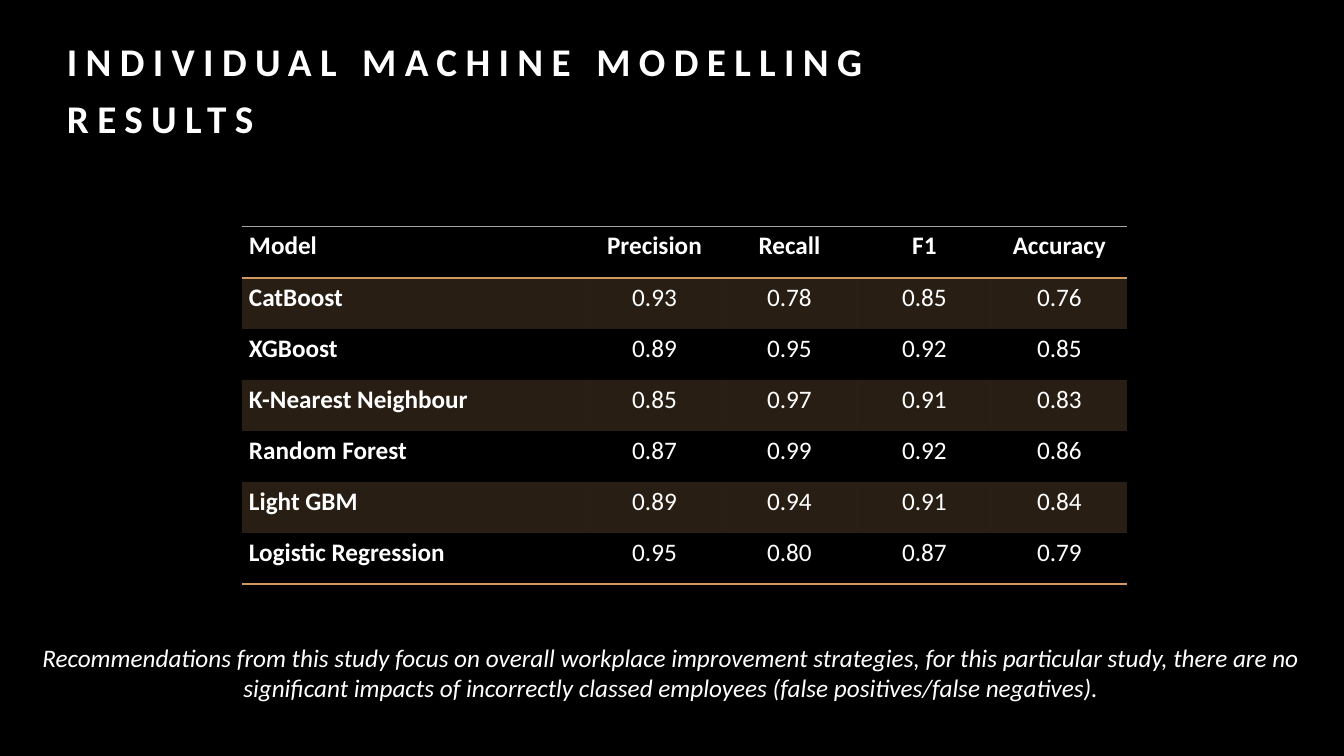
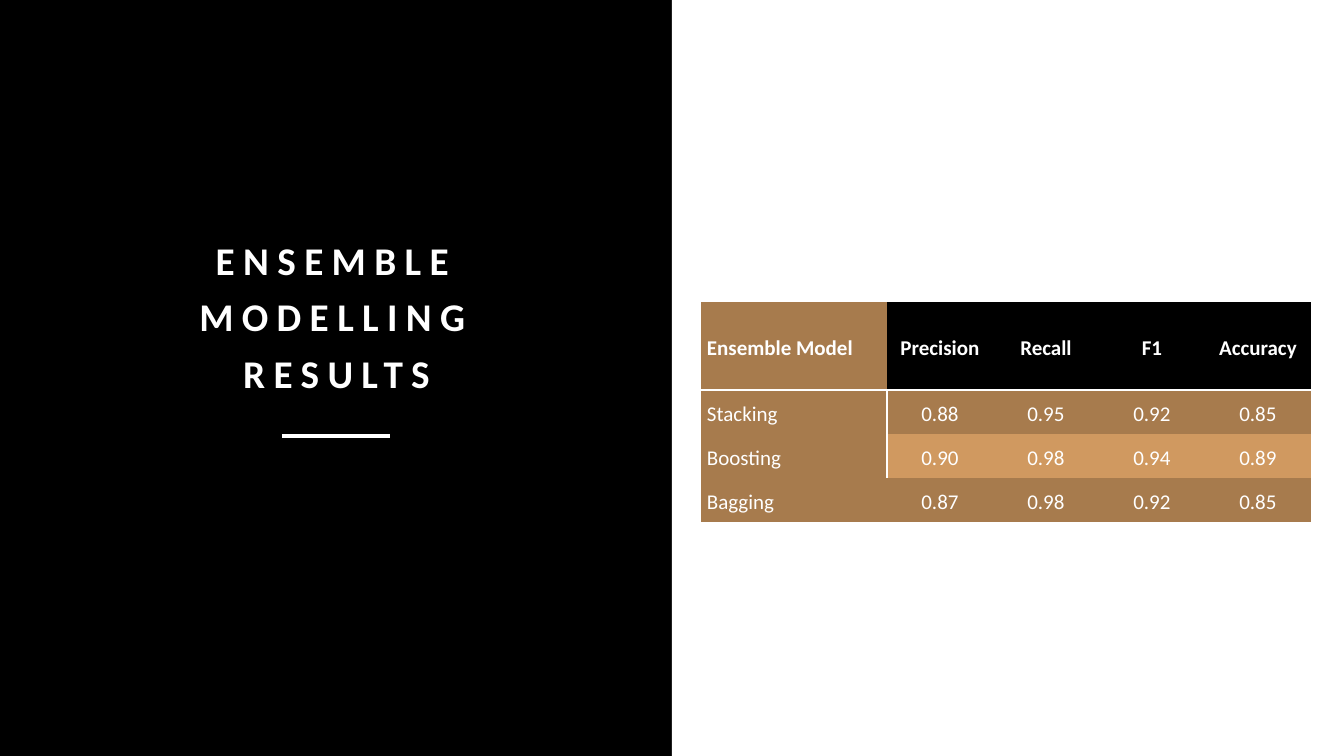
from lxml.etree import SubElement
from pptx import Presentation
from pptx.dml.color import RGBColor
from pptx.enum.shapes import MSO_CONNECTOR as Connector, MSO_SHAPE as Shape
from pptx.enum.text import MSO_ANCHOR as Anchor, PP_ALIGN as Align
from pptx.oxml.ns import qn
from pptx.util import Emu, Pt

PX = 914400 / 100.8
WIDTH, HEIGHT = 1344, 756
FONT = "Calibri"
BLACK = RGBColor(0x00, 0x00, 0x00)
WHITE = RGBColor(0xFF, 0xFF, 0xFF)
GREY = RGBColor(0xA6, 0xA6, 0xA6)
GOLD = RGBColor(0xD0, 0x99, 0x60)
BRONZE = RGBColor(0xA7, 0x7B, 0x4D)
PLAIN_TABLE = "{2D5ABB26-0587-4C30-8999-92F81FD0307C}"
MEASURES = ("Precision", "Recall", "F1", "Accuracy")

MODELS = (
    ("Model", *MEASURES),
    ("CatBoost", "0.93", "0.78", "0.85", "0.76"),
    ("XGBoost", "0.89", "0.95", "0.92", "0.85"),
    ("K-Nearest Neighbour", "0.85", "0.97", "0.91", "0.83"),
    ("Random Forest", "0.87", "0.99", "0.92", "0.86"),
    ("Light GBM", "0.89", "0.94", "0.91", "0.84"),
    ("Logistic Regression", "0.95", "0.80", "0.87", "0.79"),
)
ENSEMBLES = (
    ("Ensemble Model", *MEASURES),
    ("Stacking", "0.88", "0.95", "0.92", "0.85"),
    ("Boosting", "0.90", "0.98", "0.94", "0.89"),
    ("Bagging", "0.87", "0.98", "0.92", "0.85"),
)
FOOTNOTE = (
    "Recommendations from this study focus on overall workplace improvement "
    "strategies, for this particular study, there are no significant impacts of "
    "incorrectly classed employees (false positives/false negatives)."
)


def px(*lengths):
    """Turn pixel lengths into a list of EMU lengths."""
    return [Emu(round(length * PX)) for length in lengths]


def add_page(deck):
    """Add a blank page with the black background."""
    page = deck.slides.add_slide(deck.slide_layouts[6])
    page.background.fill.solid()
    page.background.fill.fore_color.rgb = BLACK
    return page


def write(frame, text, size, bold=False, italic=False, align=Align.LEFT,
          line_spacing=None, tracking=0):
    """Write one formatted white paragraph into a text frame."""
    para = frame.paragraphs[0]
    para.alignment = align
    para.line_spacing = line_spacing
    span = para.add_run()
    span.text = text
    font = span.font
    font.name, font.size = FONT, Pt(size)
    font.bold, font.italic = bold, italic
    font.color.rgb = WHITE
    if tracking:
        span._r.get_or_add_rPr().set("spc", str(tracking * 100))


def add_text(page, place, text, anchor=Anchor.TOP, **look):
    """Add a wrapping text box."""
    frame = page.shapes.add_textbox(*px(*place)).text_frame
    frame.word_wrap = True
    frame.vertical_anchor = anchor
    write(frame, text, **look)


def add_title(page, place, text, align=Align.LEFT):
    """Add a bold, widely spaced title resting on the foot of its box."""
    add_text(page, place, text, anchor=Anchor.BOTTOM, size=28, bold=True,
             align=align, line_spacing=1.2, tracking=6)


def add_panel(page, place, color):
    """Add a plain filled rectangle."""
    panel = page.shapes.add_shape(Shape.RECTANGLE, *px(*place))
    panel.shadow.inherit = False
    panel.fill.solid()
    panel.fill.fore_color.rgb = color
    panel.line.fill.background()


def add_rule(page, ends, color, weight):
    """Add a straight line without a shadow."""
    rule = page.shapes.add_connector(Connector.STRAIGHT, *px(*ends))
    rule.line.color.rgb = color
    rule.line.width = Pt(weight)
    SubElement(rule._element.spPr, qn("a:effectLst"))


def draw_edges(cell, edges):
    """Draw the given cell borders and clear the others."""
    properties = cell._tc.get_or_add_tcPr()
    for side in "LRTB":
        color, weight = edges.get(side, (None, 0))
        line = SubElement(properties, qn(f"a:ln{side}"), w=str(Pt(weight)))
        if color is None:
            SubElement(line, qn("a:noFill"))
        else:
            paint = SubElement(line, qn("a:solidFill"))
            SubElement(paint, qn("a:srgbClr"), val=str(color))


def fill_cell(cell, color, opacity=100):
    """Fill a cell, or leave it clear when there is no colour."""
    if color is None:
        cell.fill.background()
        return
    cell.fill.solid()
    cell.fill.fore_color.rgb = color
    if opacity < 100:
        tint = cell._tc.tcPr.find(f".//{qn('a:solidFill')}[last()]/{qn('a:srgbClr')}")
        for paint in cell._tc.tcPr.findall(qn("a:solidFill")):
            tint = paint.find(qn("a:srgbClr"))
        SubElement(tint, qn("a:alpha"), val=str(opacity * 1000))


def add_grid(page, corner, rows, widths, heights, size, margin, look,
             anchor=Anchor.TOP, bold_names=False):
    """Add a table whose fills and borders come from look(row, column)."""
    label_width, value_width = widths
    head_height, row_height = heights
    columns = len(rows[0])
    total = (label_width + value_width * (columns - 1),
             head_height + row_height * (len(rows) - 1))
    table = page.shapes.add_table(len(rows), columns, *px(*corner, *total)).table
    table.first_row = table.horz_banding = False
    table._tbl.tblPr.find(qn("a:tableStyleId")).text = PLAIN_TABLE
    for index, column in enumerate(table.columns):
        column.width, = px(value_width if index else label_width)
    for index, row in enumerate(table.rows):
        row.height, = px(row_height if index else head_height)
    for r, row in enumerate(rows):
        for c, text in enumerate(row):
            cell = table.cell(r, c)
            cell.margin_left, cell.margin_right = px(margin, margin)
            cell.margin_top = cell.margin_bottom = 0
            cell.vertical_anchor = anchor
            write(cell.text_frame, text, size, line_spacing=1.15,
                  bold=r == 0 or (bold_names and c == 0),
                  align=Align.CENTER if c else Align.LEFT)
            fill, edges = look(r, c)
            draw_edges(cell, edges)
            fill_cell(cell, *fill)


def model_look(row, column):
    """Tint every other model row and rule the head and foot."""
    edges = {}
    if row == 0:
        edges["T"] = (GREY, 0.5)
    if row in (0, len(MODELS) - 1):
        edges["B"] = (GOLD, 1)
    return ((GOLD, 20) if row % 2 else (None,)), edges


def ensemble_look(row, column):
    """Colour the head, the names and the highlighted middle row."""
    edges = {}
    if row == 0:
        edges["B"] = (WHITE, 2)
    elif column == 0 and row < len(ENSEMBLES) - 1:
        edges["R"] = (WHITE, 2)
    if column == 0:
        return (BRONZE,), edges
    return ((BLACK, BRONZE, GOLD, BRONZE)[row],), edges


def build_models(deck):
    """Build the page of individual model results."""
    page = add_page(deck)
    add_title(page, (57, 51, 1018, 95), "INDIVIDUAL MACHINE MODELLING RESULTS")
    add_grid(page, (242, 226), MODELS, (345, 135), (52, 51), size=18, margin=7,
             look=model_look, bold_names=True)
    add_text(page, (30, 637, 1282, 72), FOOTNOTE, size=18, italic=True,
             align=Align.CENTER)


def build_ensembles(deck):
    """Build the page of ensemble results."""
    page = add_page(deck)
    add_title(page, (120, 155, 433, 246), "ENSEMBLE MODELLING RESULTS",
              align=Align.CENTER)
    add_panel(page, (WIDTH // 2, 0, WIDTH // 2, HEIGHT), WHITE)
    add_rule(page, (282, 436, 390, 436), WHITE, 2.5)
    add_grid(page, (701, 302), ENSEMBLES, (186, 106), (88, 44), size=15, margin=6,
             look=ensemble_look, anchor=Anchor.MIDDLE)


def main():
    """Build and save the deck."""
    deck = Presentation()
    deck.slide_width, deck.slide_height = px(WIDTH, HEIGHT)
    build_models(deck)
    build_ensembles(deck)
    deck.save("out.pptx")


if __name__ == "__main__":
    main()
